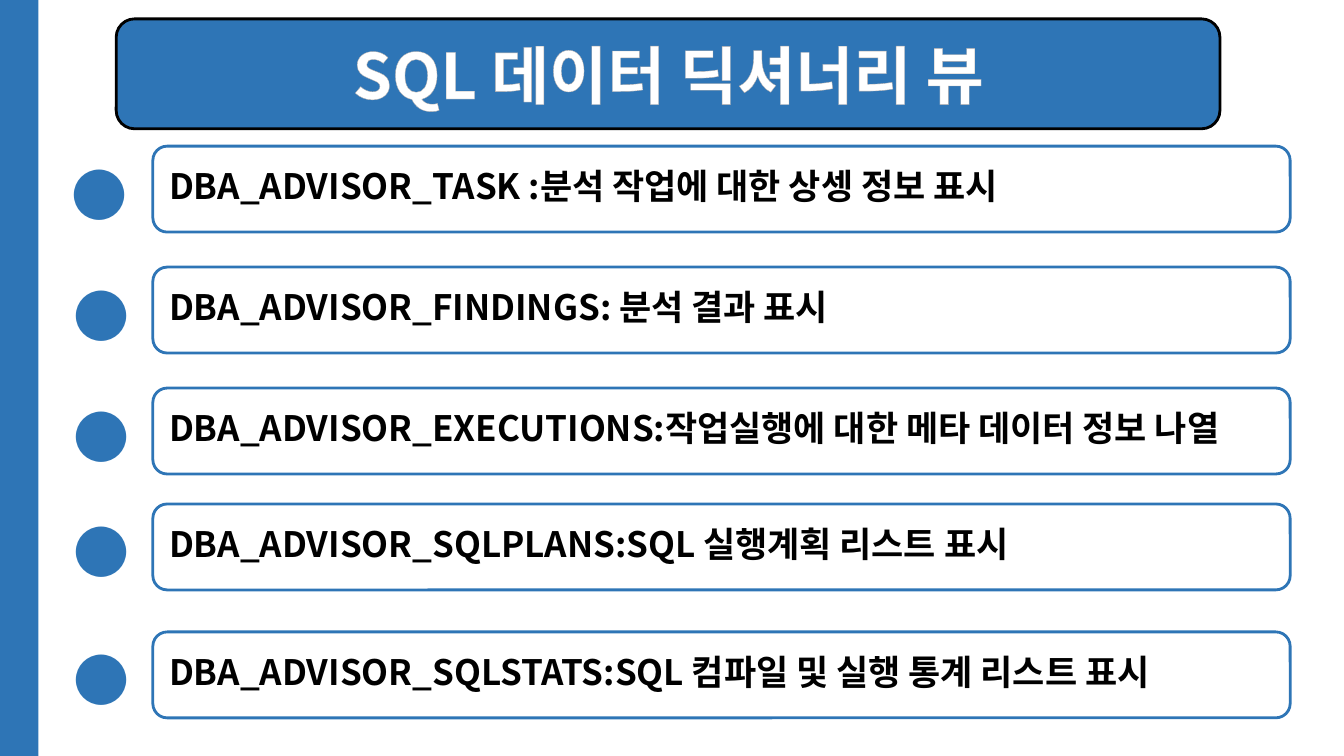
from lxml import etree
from pptx import Presentation
from pptx.dml.color import RGBColor
from pptx.enum.shapes import MSO_SHAPE
from pptx.enum.text import MSO_ANCHOR, PP_ALIGN
from pptx.oxml import parse_xml
from pptx.oxml.ns import qn
from pptx.util import Pt

RECT, ROUND = MSO_SHAPE.RECTANGLE, MSO_SHAPE.ROUNDED_RECTANGLE
TOP, MIDDLE = MSO_ANCHOR.TOP, MSO_ANCHOR.MIDDLE
LEFT, CENTER = PP_ALIGN.LEFT, PP_ALIGN.CENTER
FONT = "Noto Sans CJK KR"
NS = "http://schemas.openxmlformats.org/drawingml/2006/main"
COLORS = {"blue": "2E75B6", "black": "000000", "white": "FFFFFF", "gray": "AFABAB"}


def add_box(shapes, kind, area, fill=None, line=None):
    box = shapes.add_shape(kind, *[Pt(v) for v in area])
    box.shadow.inherit = False
    if fill:
        box.fill.solid()
        box.fill.fore_color.rgb = RGBColor.from_string(COLORS[fill])
    else:
        box.fill.background()
    if line:
        box.line.color.rgb = RGBColor.from_string(COLORS[line])
        box.line.width = Pt(2)
    else:
        box.line.fill.background()
    return box


def add_text(box, text, size, color, align, anchor, inset, gap=0):
    frame = box.text_frame
    frame.word_wrap = True
    frame.vertical_anchor = anchor
    frame.margin_left, frame.margin_top, frame.margin_right, frame.margin_bottom = map(Pt, inset)
    para = frame.paragraphs[0]
    para.alignment = align
    para.space_before = para.space_after = Pt(gap)
    run = para.add_run()
    run.text = text
    run.font.size = Pt(size)
    run.font.bold = True
    run.font.name = FONT
    run.font.color.rgb = RGBColor.from_string(COLORS[color])
    etree.SubElement(run.font._element, qn("a:ea")).set("typeface", FONT)
    return run


deck = Presentation()
deck.slide_width, deck.slide_height = Pt(960), Pt(540)
slide = deck.slides.add_slide(deck.slide_layouts[6])

# Side bar
add_box(slide.shapes, RECT, (0, 0, 27.5, 540), fill="blue")

# View rows: top, bullet left, text
rows = [
    (104.4, 43.9, "DBA_ADVISOR_TASK :분석 작업에 대한 상셍 정보 표시"),
    (190.8, 45.4, "DBA_ADVISOR_FINDINGS: 분석 결과 표시"),
    (277.2, 45.4, "DBA_ADVISOR_EXECUTIONS:작업실행에 대한 메타 데이터 정보 나열"),
    (360, 45.4, "DBA_ADVISOR_SQLPLANS:SQL 실행계획 리스트 표시"),
    (451.4, 45.4, "DBA_ADVISOR_SQLSTATS:SQL 컴파일 및 실행 통계 리스트 표시"),
]
for top, left, text in rows:
    row = slide.shapes.add_group_shape().shapes
    view = add_box(row, ROUND, (109.2, top, 812.4, 61.4), line="blue")
    add_text(view, text, 25, "black", LEFT, TOP, (8.6, 10, 7.2, 3.6), 12)
    dot = row.add_textbox(Pt(left), Pt(top), Pt(56.9), Pt(61.4))
    add_text(dot, "●", 40, "blue", LEFT, TOP, (7.2, 10, 7.2, 3.6), 12)

# Title with a thin text outline
title = add_box(slide.shapes, ROUND, (83, 13.5, 788.4, 78.5), "blue", "black")
run = add_text(title, "SQL 데이터 딕셔너리 뷰", 45, "white", CENTER, MIDDLE, (7.2, 3.6, 7.2, 3.6))
run.font._element.insert(0, parse_xml(
    f'<a:ln xmlns:a="{NS}" w="{Pt(1.4)}"><a:solidFill>'
    f'<a:srgbClr val="{COLORS["gray"]}"/></a:solidFill></a:ln>'))

deck.save("out.pptx")
